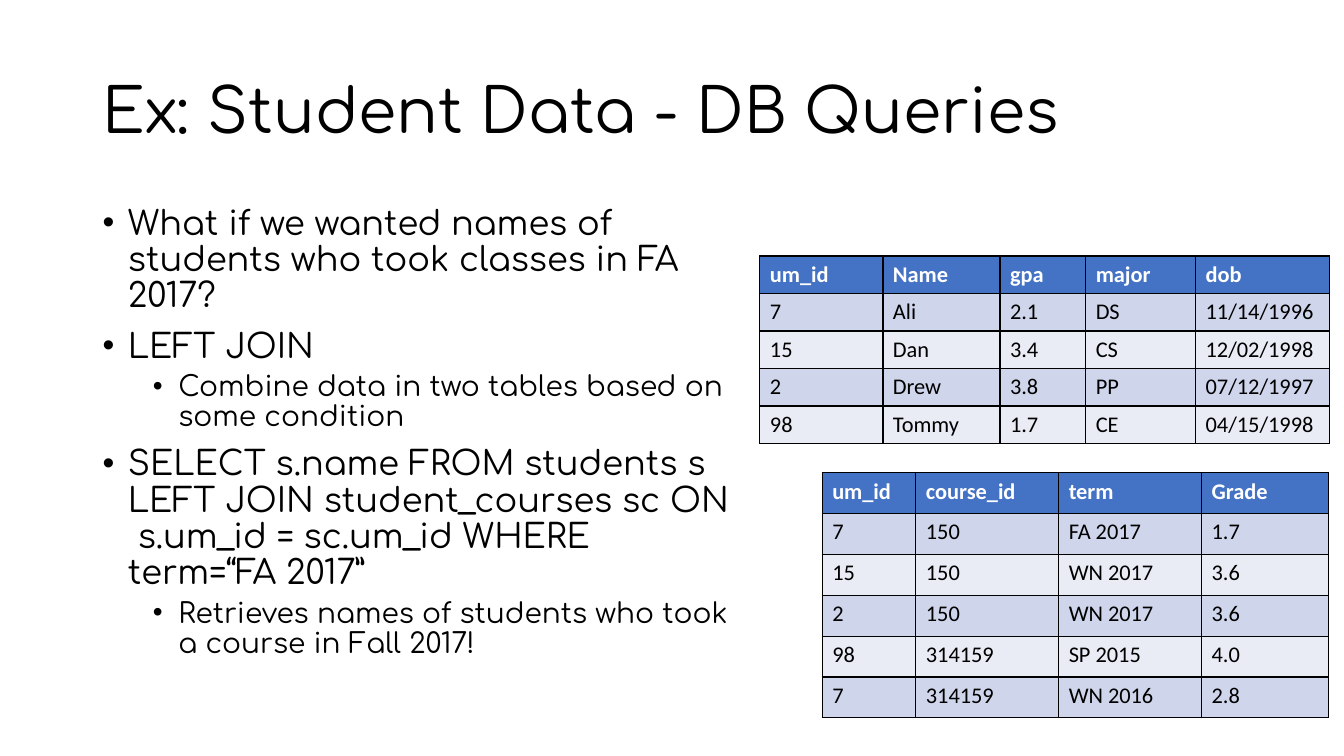
from lxml import etree
from pptx import Presentation
from pptx.dml.color import RGBColor
from pptx.enum.text import MSO_ANCHOR, MSO_AUTO_SIZE, PP_ALIGN
from pptx.oxml.ns import qn
from pptx.util import Cm, Pt

MIDDLE = MSO_ANCHOR.MIDDLE
TOP = MSO_ANCHOR.TOP
NO_FIT = MSO_AUTO_SIZE.NONE
LEFT = PP_ALIGN.LEFT

BLACK = RGBColor(0x00, 0x00, 0x00)
WHITE = RGBColor(0xFF, 0xFF, 0xFF)
HEADER_BLUE = RGBColor(0x44, 0x72, 0xC4)
BANDS = (RGBColor(0xCF, 0xD5, 0xEA), RGBColor(0xE9, 0xEB, 0xF5))

TITLE_FONT = {"name": "Comfortaa", "size": Pt(44)}
LEVELS = (
    {"indent": 0.64, "before": Pt(10), "font": {"name": "Comfortaa", "size": Pt(24)}},
    {"indent": 1.91, "before": Pt(5), "font": {"name": "Comfortaa", "size": Pt(20)}},
)
HEADER_FONT = {"name": "Calibri", "size": Pt(16), "bold": True}
CELL_FONT = {"name": "Calibri", "size": Pt(16), "bold": False}

BULLETS = (
    (0, "What if we wanted names of students who took classes in FA 2017?"),
    (0, "LEFT JOIN"),
    (1, "Combine data in two tables based on some condition"),
    (0, "SELECT s.name FROM students s LEFT JOIN student_courses sc ON  s.um_id = sc.um_id WHERE term=“FA 2017”"),
    (1, "Retrieves names of students who took a course in Fall 2017!"),
)
STUDENTS = (
    ("um_id", "Name", "gpa", "major", "dob"),
    ("7", "Ali", "2.1", "DS", "11/14/1996"),
    ("15", "Dan", "3.4", "CS", "12/02/1998"),
    ("2", "Drew", "3.8", "PP", "07/12/1997"),
    ("98", "Tommy", "1.7", "CE", "04/15/1998"),
)
COURSES = (
    ("um_id", "course_id", "term", "Grade"),
    ("7", "150", "FA 2017", "1.7"),
    ("15", "150", "WN 2017", "3.6"),
    ("2", "150", "WN 2017", "3.6"),
    ("98", "314159", "SP 2015", "4.0"),
    ("7", "314159", "WN 2016", "2.8"),
)


class SlideBuilder:
    def __init__(self, s):
        self.s = s

    def apply(self, target, values):
        for name, value in values.items():
            setattr(target, name, value)

    def add_text(self, p, text, font, color):
        r = p.add_run()
        r.text = text
        self.apply(r.font, font)
        r.font.color.rgb = color

    def place(self, sp, box, anchor):
        self.apply(sp, dict(zip(("left", "top", "width", "height"), map(Cm, box))))
        tf = sp.text_frame
        self.apply(tf, {"word_wrap": True, "auto_size": NO_FIT, "vertical_anchor": anchor})
        return tf

    def title(self, text, box):
        p = self.place(self.s.shapes.title, box, MIDDLE).paragraphs[0]
        self.apply(p, {"alignment": LEFT, "line_spacing": 0.9})
        self.add_text(p, text, TITLE_FONT, BLACK)

    def bullets(self, items, box):
        tf = self.place(self.s.placeholders[1], box, TOP)
        for i, (level, text) in enumerate(items):
            p = tf.add_paragraph() if i else tf.paragraphs[0]
            style = LEVELS[level]
            self.apply(p, {"level": level, "line_spacing": 0.9, "space_before": style["before"]})
            pPr = p._p.get_or_add_pPr()
            pPr.set("marL", str(Cm(style["indent"])))
            pPr.set("indent", str(Cm(-0.64)))
            etree.SubElement(pPr, qn("a:buFont")).set("typeface", "Arial")
            etree.SubElement(pPr, qn("a:buChar")).set("char", "•")
            self.add_text(p, text, style["font"], BLACK)

    def borders(self, cell):
        tcPr = cell._tc.get_or_add_tcPr()
        for side in ("lnL", "lnR", "lnT", "lnB"):
            ln = etree.SubElement(tcPr, qn("a:" + side))
            ln.set("w", str(Pt(1)))
            fill = etree.SubElement(ln, qn("a:solidFill"))
            etree.SubElement(fill, qn("a:srgbClr")).set("val", str(BLACK))

    def table(self, rows, left, top, widths, row_height):
        frame = self.s.shapes.add_table(
            len(rows), len(widths), Cm(left), Cm(top),
            Cm(sum(widths)), Cm(row_height * len(rows)))
        tbl = frame.table
        for col, width in zip(tbl.columns, widths):
            col.width = Cm(width)
        for i, row in enumerate(rows):
            tbl.rows[i].height = Cm(row_height)
            for j, text in enumerate(row):
                cell = tbl.cell(i, j)
                self.borders(cell)
                cell.fill.solid()
                cell.fill.fore_color.rgb = BANDS[(i - 1) % 2] if i else HEADER_BLUE
                self.add_text(cell.text_frame.paragraphs[0], text,
                              CELL_FONT if i else HEADER_FONT, BLACK if i else WHITE)


def main():
    prs = Presentation()
    prs.slide_width, prs.slide_height = Cm(33.87), Cm(19.05)
    b = SlideBuilder(prs.slides.add_slide(prs.slide_layouts[1]))
    b.title("Ex: Student Data - DB Queries", (2.33, 1.01, 29.21, 3.68))
    b.bullets(BULLETS, (2.33, 5.07, 16.46, 12.09))
    b.table(STUDENTS, 19.15, 6.45, (3.1, 2.95, 2.16, 2.77, 3.38), 0.94)
    b.table(COURSES, 20.72, 11.91, (2.36, 3.6, 3.6, 3.2), 1.03)
    prs.save("out.pptx")


if __name__ == "__main__":
    main()
